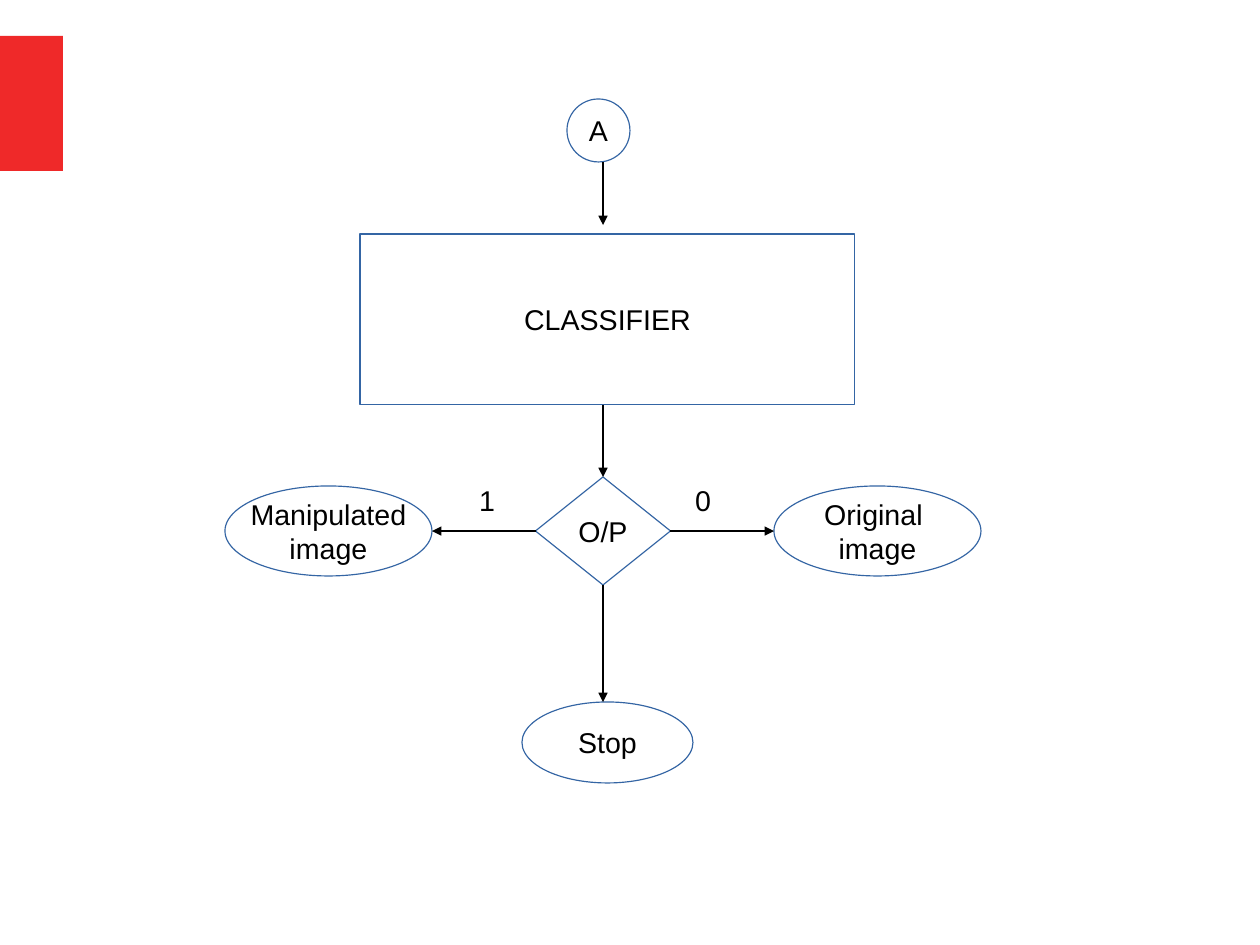
import pptx
import pptx.util
import pptx.dml.color
import pptx.enum.shapes
import pptx.enum.text
import pptx.oxml.ns
import lxml.etree

COLS, ROWS = 28, 21
CELL = pptx.util.Cm(1)
KIND = pptx.enum.shapes.MSO_SHAPE
ALIGN = pptx.enum.text.PP_ALIGN
MID = pptx.enum.text.MSO_ANCHOR.MIDDLE
TOP = pptx.enum.text.MSO_ANCHOR.TOP
RED, BLUE, WHITE, BLACK = "EF2929", "3465A4", "FFFFFF", "000000"
FONT = {"name": "Arial", "size": pptx.util.Pt(18)}
EDGE = pptx.util.Pt(0.75)


def hue(code):
    """Turn a hex string into a colour."""
    return pptx.dml.color.RGBColor.from_string(code)


def grid(box, *spots):
    """Turn grid spots inside a box into slide lengths, x and y in turn."""
    return [int((spot + box[i % 2]) * CELL) for i, spot in enumerate(spots)]


def place(box, left, top, wide, high):
    """Give the slide frame of a part of a box."""
    return grid(box, left, top) + [int(wide * CELL), int(high * CELL)]


def write(frame, lines, align, **looks):
    """Fill a text frame with one paragraph per line."""
    for name, value in looks.items():
        setattr(frame, name, value)
    frame.text = "\n".join(lines)
    for para in frame.paragraphs:
        para.alignment = align
        for run in para.runs:
            for name, value in FONT.items():
                setattr(run.font, name, value)
            run.font.color.rgb = hue(BLACK)


def block(slide, kind, frame, fill, edge=None):
    """Draw a filled preset shape, outlined if an edge colour is given."""
    shape = slide.shapes.add_shape(kind, *frame)
    shape.shadow.inherit = False
    shape.fill.solid()
    shape.fill.fore_color.rgb = hue(fill)
    if edge:
        shape.line.color.rgb = hue(edge)
        shape.line.width = EDGE
    else:
        shape.line.fill.background()
    return shape


def arrow(slide, ends):
    """Draw a straight arrow between two points."""
    link = slide.shapes.add_connector(
        pptx.enum.shapes.MSO_CONNECTOR.STRAIGHT, *ends)
    link.line.color.rgb = hue(BLACK)
    link.line.width = EDGE
    props = link._element.spPr
    tag = pptx.oxml.ns.qn
    tail = lxml.etree.SubElement(props.find(tag("a:ln")), tag("a:tailEnd"))
    tail.set("type", "triangle")
    lxml.etree.SubElement(props, tag("a:effectLst"))


def accent(slide, box):
    """Draw the red bar at the slide edge."""
    block(slide, KIND.RECTANGLE, place(box, 0, 0, *box[2:]), RED)


def flow(slide, box):
    """Draw the flowchart: nodes, arrows and branch labels."""
    wide = box[2]
    axis, branch = 8.4, 9.6
    end = (4.6, 2)
    nodes = [
        (KIND.OVAL, (7.6, 0, 1.4, 1.4), ["A"]),
        (KIND.RECTANGLE, (3, 3, 11, 3.8), ["CLASSIFIER"]),
        (KIND.DIAMOND, (axis - 1.5, branch - 1.2, 3, 2.4), ["O/P"]),
        (KIND.OVAL, (6.6, 13.4, 3.8, 1.8), ["Stop"]),
        (KIND.OVAL, (0, branch - 1, *end), ["Manipulated", "image"]),
        (KIND.OVAL, (wide - end[0], branch - 1, *end), ["Original ", "image"]),
    ]
    for kind, spot, lines in nodes:
        shape = block(slide, kind, place(box, *spot), WHITE, BLUE)
        write(shape.text_frame, lines, ALIGN.CENTER,
              word_wrap=False, vertical_anchor=MID)
    for start, stop in ((1.4, 2.8), (6.8, 8.4), (10.8, 13.4)):
        arrow(slide, grid(box, axis, start, axis, stop))
    for start, stop in ((9.9, wide - end[0]), (6.9, end[0])):
        arrow(slide, grid(box, start, branch, stop, branch))
    for left, text in ((5.4, "1"), (10.2, "0")):
        label = slide.shapes.add_textbox(*place(box, left, 8.4, 1.45, 0.97))
        write(label.text_frame, [text], ALIGN.LEFT,
              word_wrap=True, vertical_anchor=TOP)


def main():
    """Build and save the slide."""
    deck = pptx.Presentation()
    deck.slide_width, deck.slide_height = COLS * CELL, ROWS * CELL
    slide = deck.slides.add_slide(deck.slide_layouts[6])
    accent(slide, (0, 0.8, 1.4, 3))
    flow(slide, (5, 2.2, 16.8, 15.2))
    deck.save("out.pptx")


if __name__ == "__main__":
    main()
